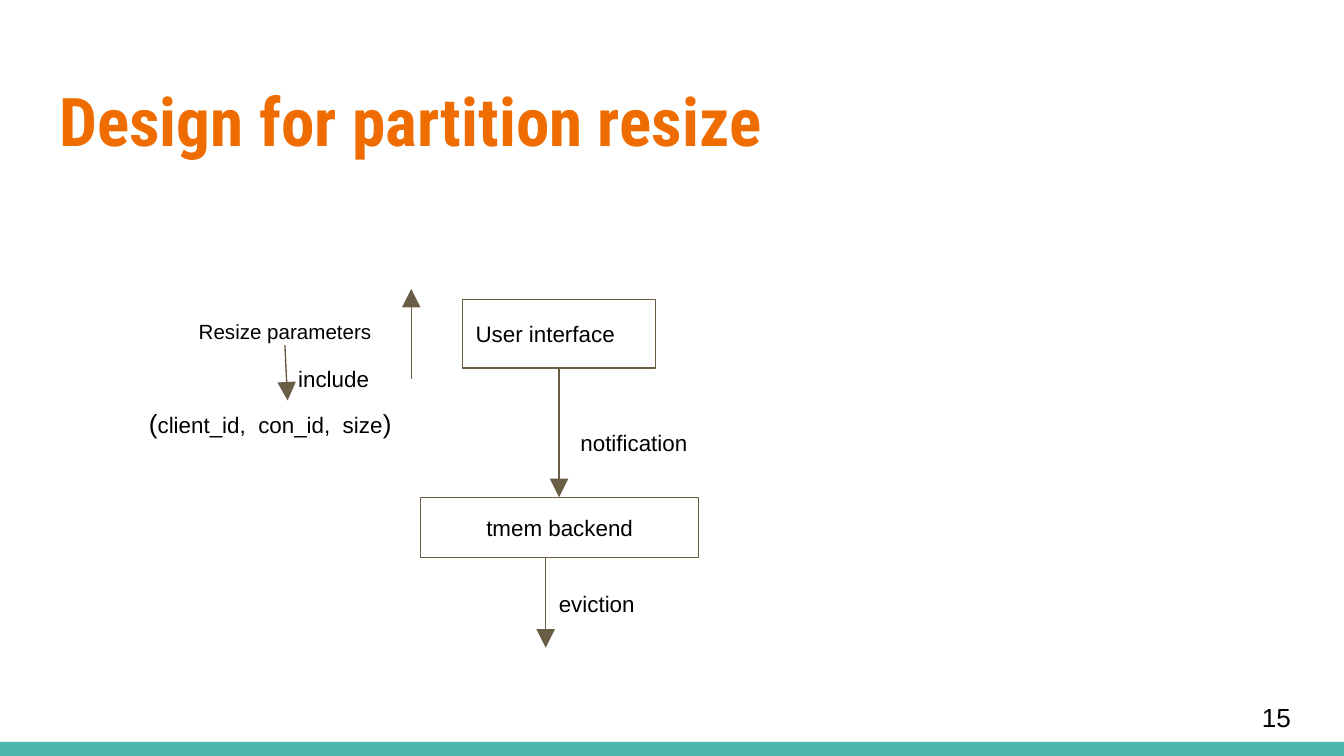
import pptx
import pptx.dml.color
import pptx.enum.shapes
import pptx.enum.text
import pptx.util
from pptx.oxml.ns import qn
from lxml import etree

Inches, Pt = pptx.util.Inches, pptx.util.Pt
ALIGN = pptx.enum.text.PP_ALIGN
ANCHOR = pptx.enum.text.MSO_ANCHOR

COLORS = {
    "title": "EF6C00",
    "text": "000000",
    "line": "695D46",
    "box": "FFFFFF",
    "bar": "4DB6AC",
}

TITLE = ("Design for partition resize", (0.34, 0.49, 9.32, 0.77))
BAR = (0, 5.52, 10, 0.11)

# text, (left, top, width, height), alignment
BOXES = [
    ("tmem backend", (3.13, 3.7, 2.07, 0.45), ALIGN.CENTER),
    ("User interface", (3.44, 2.23, 1.44, 0.51), ALIGN.LEFT),
]

# runs of (text, size), (left, top, width, height), anchor
LABELS = [
    ([("Resize parameters", 11)], (1.38, 2.27, 1.49, 0.3), ANCHOR.TOP),
    ([("include", 12)], (2.12, 2.62, 1.02, 0.27), ANCHOR.TOP),
    ([("(", 14), ("client_id,  con_id,  size", 12), (")", 14)],
     (1.01, 2.93, 2.96, 0.33), ANCHOR.TOP),
    ([("notification", 12)], (4.22, 3.09, 1.39, 0.27), ANCHOR.TOP),
    ([("eviction", 12)], (4.06, 4.29, 1.13, 0.27), ANCHOR.TOP),
    ([("15", 14)], (9.29, 5.12, 0.6, 0.43), ANCHOR.MIDDLE),
]

# start, end
ARROWS = [
    ((4.16, 2.74), (4.16, 3.7)),
    ((4.06, 4.15), (4.06, 4.82)),
    ((3.06, 2.82), (3.06, 2.15)),
    ((2.12, 2.57), (2.14, 2.98)),
]


def rgb(name):
    return pptx.dml.color.RGBColor.from_string(COLORS[name])


def write(sp, runs, font="Arial", color="text", bold=False,
          align=ALIGN.LEFT, anchor=ANCHOR.TOP):
    """Fill a shape with one paragraph made of (text, size) runs."""
    tf = sp.text_frame
    tf.word_wrap = True
    tf.auto_size = pptx.enum.text.MSO_AUTO_SIZE.NONE
    tf.vertical_anchor = anchor
    tf.margin_left = tf.margin_right = Inches(0.1)
    tf.margin_top = tf.margin_bottom = Inches(0.1)
    p = tf.paragraphs[0]
    p.alignment = align
    for text, size in runs:
        r = p.add_run()
        r.text = text
        r.font.size = Pt(size)
        r.font.name = font
        r.font.bold = bold
        r.font.color.rgb = rgb(color)


def add_rect(s, place, fill, line=None):
    sp = s.shapes.add_shape(pptx.enum.shapes.MSO_SHAPE.RECTANGLE, *map(Inches, place))
    sp.shadow.inherit = False
    sp.fill.solid()
    sp.fill.fore_color.rgb = rgb(fill)
    if line:
        sp.line.color.rgb = rgb(line)
        sp.line.width = Pt(0.75)
    else:
        sp.line.fill.background()
    return sp


def add_arrow(s, start, end):
    cxn = s.shapes.add_connector(pptx.enum.shapes.MSO_CONNECTOR.STRAIGHT,
                                 *map(Inches, start + end))
    cxn.line.color.rgb = rgb("line")
    cxn.line.width = Pt(0.75)
    props = cxn._element.spPr
    etree.SubElement(props.find(qn("a:ln")), qn("a:tailEnd"),
                     type="triangle", w="lg", len="lg")
    etree.SubElement(props, qn("a:effectLst"))


def main():
    prs = pptx.Presentation()
    prs.slide_width = Inches(10)
    prs.slide_height = prs.slide_width * 9 // 16
    s = prs.slides.add_slide(prs.slide_layouts.get_by_name("Title Only"))

    add_rect(s, BAR, "bar")

    text, place = TITLE
    title = s.shapes.title
    title.left, title.top, title.width, title.height = map(Inches, place)
    write(title, [(text, 36)], font="Roboto Condensed", color="title", bold=True)

    for text, place, align in BOXES:
        write(add_rect(s, place, "box", "line"), [(text, 12)],
              align=align, anchor=ANCHOR.MIDDLE)
    for start, end in ARROWS:
        add_arrow(s, start, end)
    for runs, place, anchor in LABELS:
        write(s.shapes.add_textbox(*map(Inches, place)), runs, anchor=anchor)

    prs.save("out.pptx")


if __name__ == "__main__":
    main()
